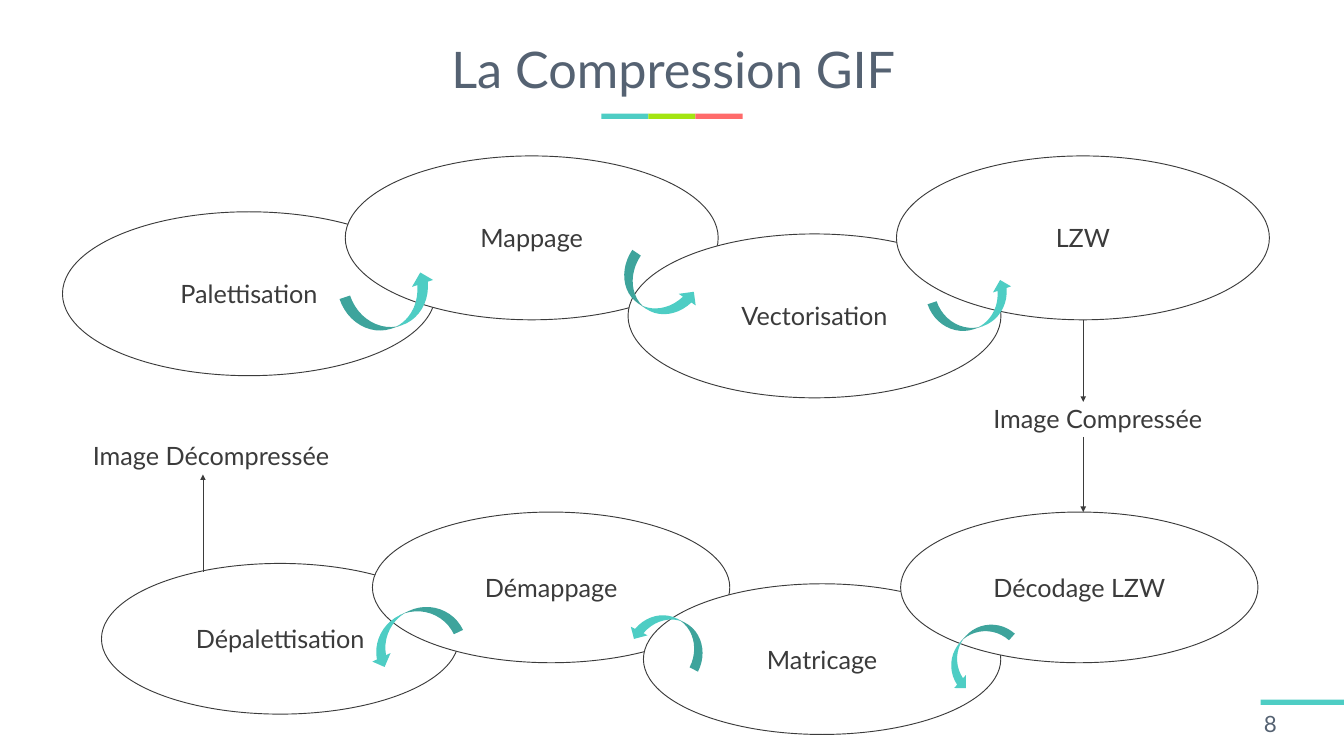
from dataclasses import dataclass

from lxml import etree
from pptx import Presentation
from pptx import util as u
from pptx.dml.color import RGBColor
from pptx.enum import shapes, text
from pptx.oxml.ns import qn

COLUMNS, ROWS = 20, 11.25
CELL = u.Inches(1)
FONT = "Lato"
COLORS = {
    "heading": "556272",
    "ink": "3B3B3B",
    "paper": "FFFFFF",
    "teal": "4ECDC4",
    "green": "A3E511",
    "coral": "FF6B6B",
}

# Shares of a chain's box, in percent
OVAL_SIZE = (30.9, 67.75)
OVAL_PLACES = [(0, 23.1), (23.43, 0), (46.86, 32.25), (69.1, 0)]

# Each arrow: centre x, centre y, width, height (percent of the box), rotation
ENCODING_ARROWS = [
    (27.31, 61.67, 7.96, 18.33, 341.8),
    (49.16, 55.69, 7.02, 16.94, 34.3),
    (75.56, 63.19, 7.13, 15.83, 341.5),
]
DECODING_ARROWS = [
    (26.73, 54.08, 8.37, 18.13, 154.7),
    (49.19, 55.89, 7.03, 16.92, 207.1),
    (75.48, 63.14, 7.09, 15.71, 132),
]


@dataclass
class Box:
    """A rectangle in columns and rows of the slide grid."""
    left: float
    top: float
    width: float
    height: float

    def inner(self, left, top, width, height):
        """Return an inner box given in percent of this one."""
        return Box(self.left + self.width * left / 100,
                   self.top + self.height * top / 100,
                   self.width * width / 100,
                   self.height * height / 100)

    def emu(self):
        return [round(value * CELL)
                for value in (self.left, self.top, self.width, self.height)]


def color(name):
    return RGBColor.from_string(COLORS[name])


def write(shape, wording, size, ink="ink", align=text.PP_ALIGN.CENTER,
          anchor=text.MSO_ANCHOR.MIDDLE):
    frame = shape.text_frame
    frame.word_wrap = True
    frame.vertical_anchor = anchor
    paragraph = frame.paragraphs[0]
    paragraph.text = wording
    paragraph.alignment = align
    paragraph.font.name = FONT
    paragraph.font.size = u.Pt(size)
    paragraph.font.color.rgb = color(ink)
    return paragraph


def add_filled(parent, kind, box, fill):
    shape = parent.add_shape(kind, *box.emu())
    shape.shadow.inherit = False
    shape.fill.solid()
    shape.fill.fore_color.rgb = color(fill)
    shape.line.fill.background()
    return shape


def add_heading(slide, box):
    title = slide.shapes.title
    title.left, title.top, title.width, title.height = box.emu()
    write(title, "La Compression GIF", 54, "heading").line_spacing = 0.9


def add_color_bar(slide, box):
    names = ("teal", "green", "coral")
    share = 100 / len(names)
    for index, name in enumerate(names):
        add_filled(slide.shapes, shapes.MSO_SHAPE.RECTANGLE,
                   box.inner(index * share, 0, share, 100), name)


def add_page_number(slide, box):
    add_filled(slide.shapes, shapes.MSO_SHAPE.RECTANGLE,
               Box(box.left + 0.05, box.top - 0.09, box.width - 0.05, 0.08), "teal")
    write(slide.shapes.add_textbox(*box.emu()), "8", 24, "heading",
          text.PP_ALIGN.LEFT)


def add_chain(slide, box, steps, arrows):
    """Draw overlapping steps, with a curved arrow across each overlap."""
    group = slide.shapes.add_group_shape().shapes
    for step, place in zip(steps, OVAL_PLACES):
        oval = add_filled(group, shapes.MSO_SHAPE.OVAL,
                          box.inner(*place, *OVAL_SIZE), "paper")
        oval.line.color.rgb = color("ink")
        oval.line.width = u.Pt(1)
        write(oval, step, 27)
    for x, y, width, height, rotation in arrows:
        arrow = add_filled(group, shapes.MSO_SHAPE.CURVED_UP_ARROW,
                           box.inner(x - width / 2, y - height / 2, width, height),
                           "teal")
        arrow.rotation = rotation


def add_result(slide, box, wording):
    label = slide.shapes.add_textbox(*box.emu())
    write(label, wording, 27, anchor=text.MSO_ANCHOR.TOP)


def add_vertical_arrow(slide, column, start_row, end_row):
    x, start, end = (round(value * CELL) for value in (column, start_row, end_row))
    arrow = slide.shapes.add_connector(
        shapes.MSO_CONNECTOR.STRAIGHT, x, start, x, end)
    arrow.line.color.rgb = color("ink")
    arrow.line.width = u.Pt(0.5)
    properties = arrow._element.spPr
    etree.SubElement(properties.find(qn("a:ln")), qn("a:tailEnd"), type="triangle")
    etree.SubElement(properties, qn("a:effectLst"))


def main():
    presentation = Presentation()
    presentation.slide_width = round(COLUMNS * CELL)
    presentation.slide_height = round(ROWS * CELL)
    slide = presentation.slides.add_slide(presentation.slide_layouts[5])

    add_color_bar(slide, Box(8.95, 1.69, 2.1, 0.08))
    add_heading(slide, Box(0.54, 0.38, 18.96, 1.4))
    add_page_number(slide, Box(18.71, 10.5, 1.29, 0.53))

    add_chain(slide, Box(0.93, 2.32, 17.96, 3.6),
              ["Palettisation", "Mappage", "Vectorisation", "LZW"],
              ENCODING_ARROWS)
    add_chain(slide, Box(1.51, 7.62, 17.21, 3.31),
              ["Dépalettisation", "Démappage", "Matricage", "Décodage LZW"],
              DECODING_ARROWS)

    add_result(slide, Box(13.46, 5.95, 5.75, 0.56), "Image Compressée")
    add_vertical_arrow(slide, 16.12, 4.76, 5.98)
    add_vertical_arrow(slide, 16.12, 6.5, 7.62)
    add_result(slide, Box(1.14, 6.5, 4, 0.56), "Image Décompressée")
    add_vertical_arrow(slide, 3.02, 8.51, 7.06)

    presentation.save("out.pptx")


if __name__ == "__main__":
    main()
